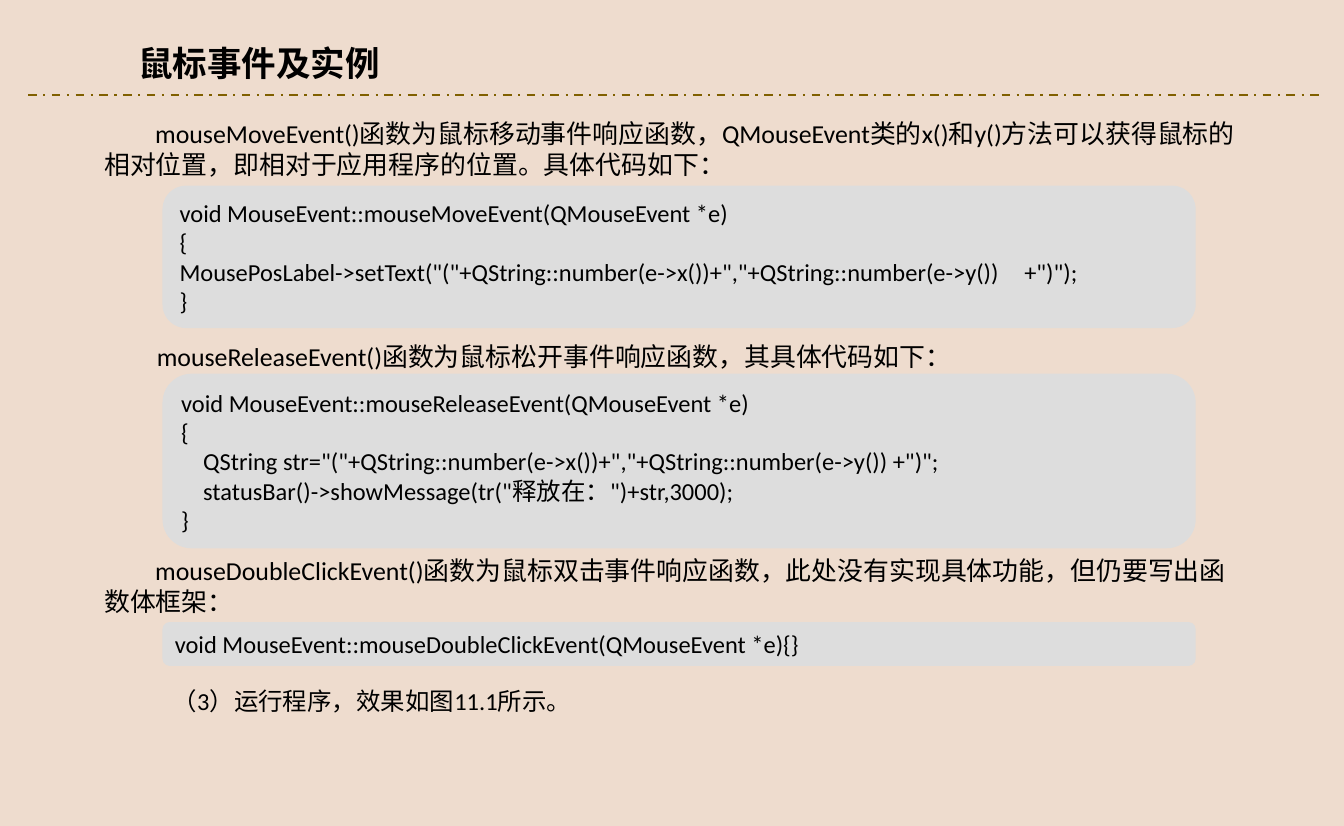
from dataclasses import dataclass

from lxml.etree import SubElement
from pptx import Presentation
from pptx.dml.color import RGBColor
from pptx.enum.dml import MSO_LINE
from pptx.enum.shapes import MSO_CONNECTOR, MSO_SHAPE
from pptx.enum.text import MSO_ANCHOR, MSO_AUTO_SIZE, PP_ALIGN
from pptx.oxml.ns import qn
from pptx.slide import Slide
from pptx.text.text import TextFrame
from pptx.util import Cm, Pt

COLORS = {"background": "EEDCCE", "rule": "806000", "code": "DDDDDD", "text": "000000"}
CODE_LEFT, CODE_WIDTH = 3.99, 25.37
PROSE_LEFT, PROSE_WIDTH = 2.31, 28.5
FIRST_LINE = 1.25
CODE_INDENT = 0.54


@dataclass
class Passage:
    text: str
    left: float
    top: float
    width: float
    height: float
    size: int = 18
    bold: bool = False
    wrap: bool = True
    first_line: float = 0


@dataclass
class CodeBlock:
    top: float
    height: float
    lines: list[str]
    indented: tuple[int, ...] = ()


PASSAGES = [
    Passage("鼠标事件及实例", 3.15, 0.91, 6.53, 1.27, size=24, bold=True, wrap=False),
    Passage(
        "mouseMoveEvent()函数为鼠标移动事件响应函数，QMouseEvent类的x()和y()方法"
        "可以获得鼠标的相对位置，即相对于应用程序的位置。具体代码如下：",
        PROSE_LEFT, 2.77, PROSE_WIDTH, 1.8, first_line=FIRST_LINE,
    ),
    Passage("mouseReleaseEvent()函数为鼠标松开事件响应函数，其具体代码如下：",
            3.6, 8.25, 22.78, 1.02),
    Passage(
        "mouseDoubleClickEvent()函数为鼠标双击事件响应函数，此处没有实现具体功能，"
        "但仍要写出函数体框架：",
        PROSE_LEFT, 13.5, PROSE_WIDTH, 1.8, first_line=FIRST_LINE,
    ),
    Passage("（3）运行程序，效果如图11.1所示。",
            CODE_LEFT, 16.74, 10.36, 0.99, size=17, wrap=False),
]

CODE_BLOCKS = [
    CodeBlock(4.56, 3.5, [
        "void MouseEvent::mouseMoveEvent(QMouseEvent *e)",
        "{",
        'MousePosLabel->setText("("+QString::number(e->x())+","+QString::number(e->y())　+")");',
        "}",
    ]),
    CodeBlock(9.18, 4.29, [
        "void MouseEvent::mouseReleaseEvent(QMouseEvent *e)",
        "{",
        'QString str="("+QString::number(e->x())+","+QString::number(e->y()) +")";',
        'statusBar()->showMessage(tr("释放在：")+str,3000);',
        "}",
    ], indented=(2, 3)),
    CodeBlock(15.28, 1.08, ["void MouseEvent::mouseDoubleClickEvent(QMouseEvent *e){}"]),
]


def color(name: str) -> RGBColor:
    return RGBColor.from_string(COLORS[name])


def write_lines(frame: TextFrame, lines: list[str], size: int,
                bold: bool = False, wrap: bool = True) -> None:
    frame_format = {"word_wrap": wrap, "auto_size": MSO_AUTO_SIZE.SHAPE_TO_FIT_TEXT}
    for name, value in frame_format.items():
        setattr(frame, name, value)
    font_format = {"name": "Calibri", "size": Pt(size), "bold": bold}
    frame.text = "\n".join(lines)
    for paragraph in frame.paragraphs:
        paragraph.alignment = PP_ALIGN.LEFT
        font = paragraph.runs[0].font
        for name, value in font_format.items():
            setattr(font, name, value)
        font.color.rgb = color("text")


def draw_passage(slide: Slide, passage: Passage) -> None:
    box = slide.shapes.add_textbox(Cm(passage.left), Cm(passage.top),
                                   Cm(passage.width), Cm(passage.height))
    frame = box.text_frame
    write_lines(frame, [passage.text], passage.size, passage.bold, passage.wrap)
    if passage.first_line:
        properties = frame.paragraphs[0]._p.get_or_add_pPr()
        properties.set("indent", str(Cm(passage.first_line)))


def draw_code(slide: Slide, block: CodeBlock) -> None:
    panel = slide.shapes.add_shape(MSO_SHAPE.ROUNDED_RECTANGLE, Cm(CODE_LEFT), Cm(block.top),
                                   Cm(CODE_WIDTH), Cm(block.height))
    panel.shadow.inherit = False
    panel.fill.solid()
    panel.fill.fore_color.rgb = color("code")
    panel.line.fill.background()
    frame = panel.text_frame
    write_lines(frame, block.lines, size=17)
    frame.vertical_anchor = MSO_ANCHOR.MIDDLE
    for index in block.indented:
        properties = frame.paragraphs[index]._p.get_or_add_pPr()
        properties.set("marL", str(Cm(CODE_INDENT)))


def draw_rule(slide: Slide) -> None:
    rule = slide.shapes.add_connector(MSO_CONNECTOR.STRAIGHT,
                                      Cm(0.69), Cm(2.34), Cm(32.49), Cm(2.34))
    rule.line.color.rgb = color("rule")
    rule_format = {"width": Pt(1.5), "dash_style": MSO_LINE.DASH_DOT}
    for name, value in rule_format.items():
        setattr(rule.line, name, value)
    SubElement(rule._element.spPr, qn("a:effectLst"))


def main() -> None:
    presentation = Presentation()
    presentation.slide_width = Cm(33)
    presentation.slide_height = Cm(20.29)
    slide = presentation.slides.add_slide(presentation.slide_layouts[6])
    slide.background.fill.solid()
    slide.background.fill.fore_color.rgb = color("background")
    draw_rule(slide)
    for block in CODE_BLOCKS:
        draw_code(slide, block)
    for passage in PASSAGES:
        draw_passage(slide, passage)
    presentation.save("out.pptx")


if __name__ == "__main__":
    main()
